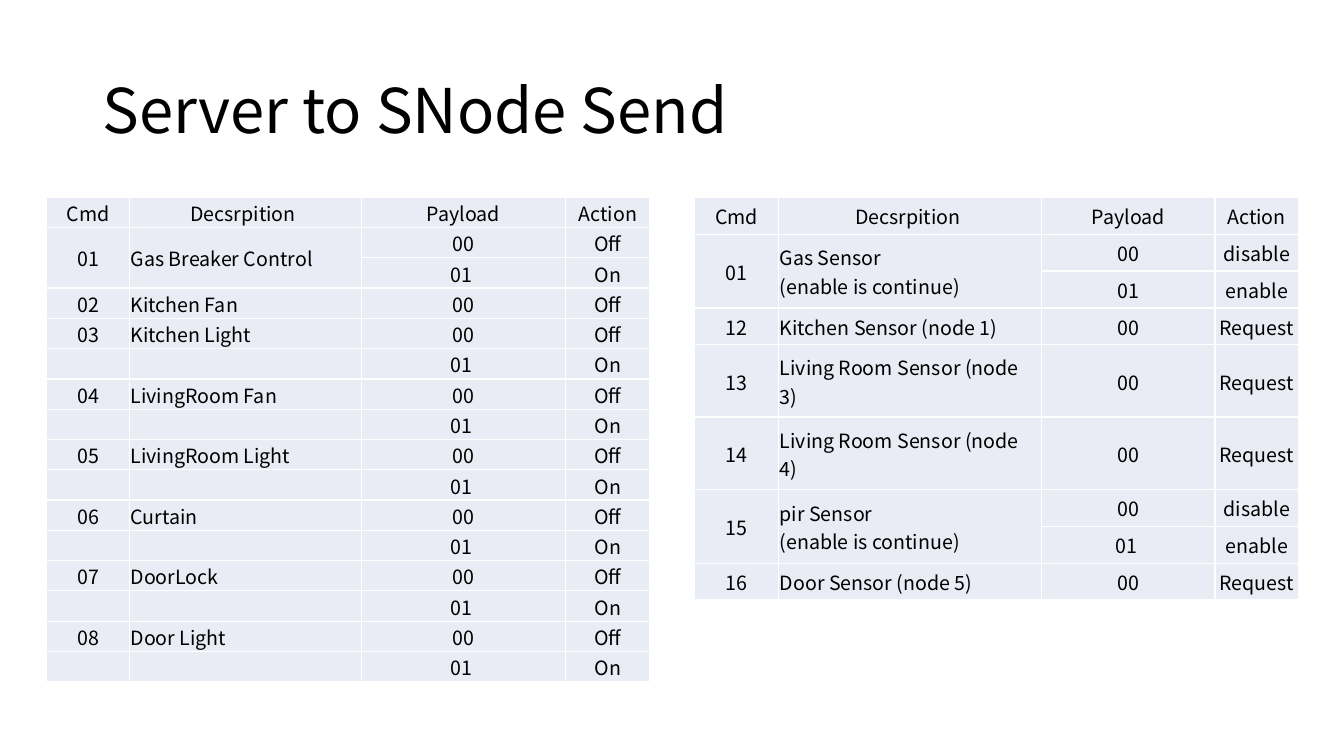
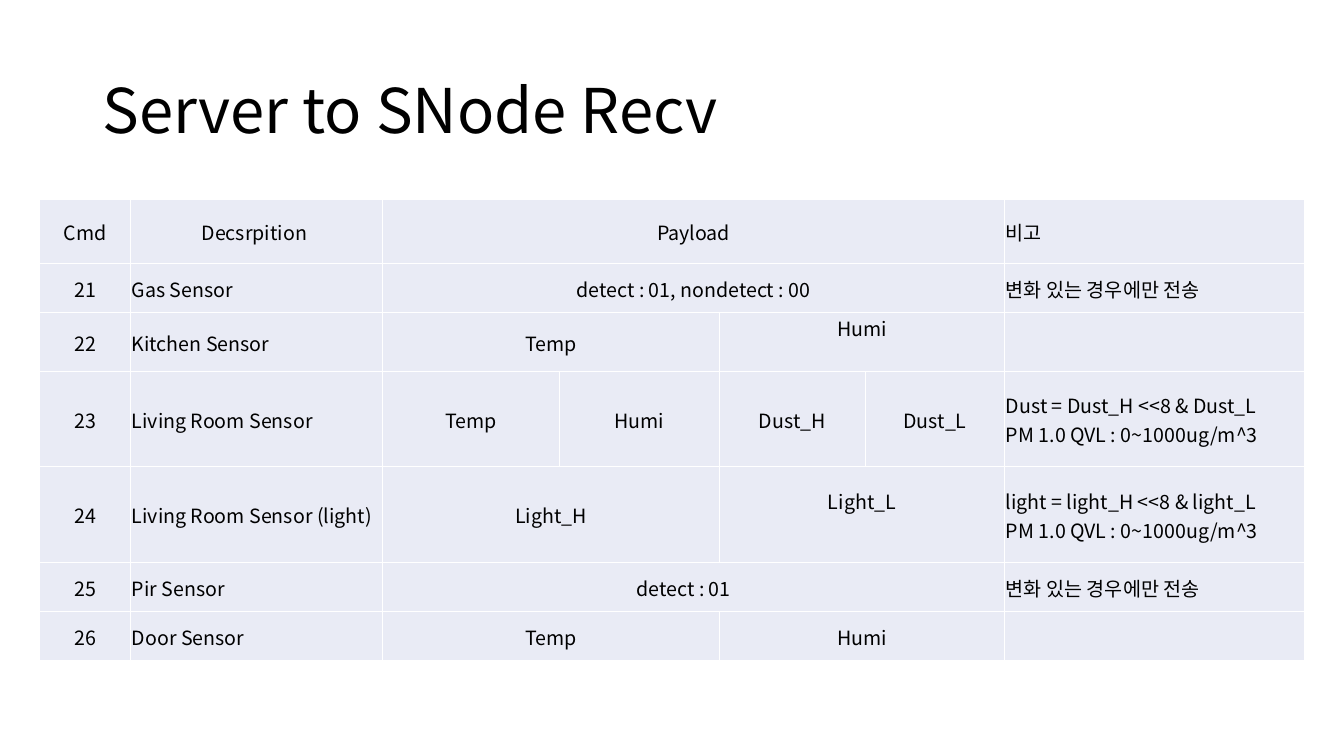
from lxml.etree import SubElement
from pptx import Presentation
from pptx.dml.color import RGBColor
from pptx.enum.text import MSO_ANCHOR as ANCHOR, PP_ALIGN as ALIGN
from pptx.oxml.ns import qn
from pptx.util import Cm, Pt

FONT = "Noto Sans CJK KR"
TEXT, CELL = "000000", "E9EBF5"
UP, LEFT = "^", "<"


def rgb(value):
    return RGBColor.from_string(value)


def set_font(p, size):
    p.font.name = FONT
    p.font.size = Pt(size)
    p.font.color.rgb = rgb(TEXT)
    SubElement(p._p.pPr.find(qn("a:defRPr")), qn("a:ea"), typeface=FONT)


def add_titled_slide(prs, title):
    s = prs.slides.add_slide(prs.slide_layouts[5])
    sp = s.shapes.title
    sp.left, sp.top, sp.width, sp.height = Cm(2.33), Cm(1.01), Cm(29.21), Cm(3.68)
    tf = sp.text_frame
    tf.vertical_anchor = ANCHOR.MIDDLE
    p = tf.paragraphs[0]
    p.text = title
    p.alignment = ALIGN.LEFT
    p.line_spacing = 0.9
    set_font(p, 44)
    return s


def fill_cell(cell, text, alignment):
    cell.fill.solid()
    cell.fill.fore_color.rgb = rgb(CELL)
    cell.vertical_anchor = ANCHOR.MIDDLE
    cell.margin_left = cell.margin_right = cell.margin_top = Cm(0.03)
    cell.margin_bottom = 0
    p = cell.text_frame.paragraphs[0]
    p.text = "" if text in (UP, LEFT) else text
    p.alignment = alignment
    set_font(p, 14)


def merge_marked(table, rows, r, c):
    bottom, right = r, c
    while bottom + 1 < len(rows) and rows[bottom + 1][c] == UP:
        bottom += 1
    while right + 1 < len(rows[r]) and rows[r][right + 1] == LEFT:
        right += 1
    if (bottom, right) != (r, c):
        table.cell(r, c).merge(table.cell(bottom, right))


def add_grid(s, left, top, widths, heights, rows, left_cols=(1,)):
    frame = s.shapes.add_table(len(rows), len(widths), Cm(left), Cm(top),
                               Cm(sum(widths)), Cm(sum(heights)))
    table = frame.table
    table.first_row = table.horz_banding = False
    for column, width in zip(table.columns, widths):
        column.width = Cm(width)
    for row, height in zip(table.rows, heights):
        row.height = Cm(height)
    for r, row in enumerate(rows):
        for c, text in enumerate(row):
            centred = c not in left_cols or (r, c) == (0, 1)
            fill_cell(table.cell(r, c), text, ALIGN.CENTER if centred else ALIGN.LEFT)
            if text not in (UP, LEFT):
                merge_marked(table, rows, r, c)
    return table


def build_send(prs):
    s = add_titled_slide(prs, "Server to SNode Send")
    header = ("Cmd", "Decsrpition ", "Payload", "Action")
    top = 4.97

    controls = [header,
                ("01", "Gas Breaker Control", "00", "Off"),
                (UP, UP, "01 ", "On"),
                ("02", "Kitchen Fan", "00", "Off")]
    devices = ["Kitchen Light", "LivingRoom Fan", "LivingRoom Light",
               "Curtain", "DoorLock", "Door Light"]
    for number, device in enumerate(devices, 3):
        controls += [(f"{number:02}", device, "00", "Off"), ("", "", "01 ", "On")]
    add_grid(s, 1.18, top, [2.08, 5.84, 5.16, 2.12],
             [12.22 / len(controls)] * len(controls), controls)

    sensors = [header,
               ("01", "Gas Sensor\n(enable is continue)", "00", "disable"),
               (UP, UP, "01", "enable"),
               ("12", "Kitchen Sensor (node 1)", "00", "Request"),
               ("13", "Living Room Sensor (node 3)", "00", "Request"),
               ("14", "Living Room Sensor (node 4)", "00", "Request"),
               ("15", "pir Sensor \n(enable is continue)", "00", "disable"),
               (UP, UP, "01 ", "enable"),
               ("16", "Door Sensor (node 5)", "00", "Request")]
    add_grid(s, 17.5, top, [2.12, 6.63, 4.37, 2.1],
             [0.93] * 4 + [1.82] * 2 + [0.93] * 3, sensors)


def build_recv(prs):
    s = add_titled_slide(prs, "Server to SNode Recv")
    on_change = "변화 있는 경우에만 전송"
    unit = "PM 1.0 QVL : 0~1000ug/m^3"
    rows = [
        ("Cmd", "Decsrpition ", "Payload", LEFT, LEFT, LEFT, "비고"),
        ("21", "Gas Sensor", "detect : 01, nondetect : 00", LEFT, LEFT, LEFT, on_change),
        ("22", "Kitchen Sensor ", "Temp", LEFT, "Humi", LEFT, ""),
        ("23", "Living Room Sensor", "Temp", "Humi", "Dust_H", "Dust_L",
         f"Dust = Dust_H <<8 & Dust_L\n{unit}"),
        ("24", "Living Room Sensor (light)", "Light_H", LEFT, "Light_L", LEFT,
         f"light = light_H <<8 & light_L\n{unit}"),
        ("25", "Pir Sensor", "detect : 01\u3000", LEFT, LEFT, LEFT, on_change),
        ("26", "Door Sensor ", "Temp", LEFT, "Humi", LEFT, ""),
    ]
    table = add_grid(s, 1, 5.03, [2.29, 6.35, 4.46, 4.03, 3.68, 3.51, 7.56],
                     [1.6, 1.25, 1.47, 2.41, 2.41, 1.24, 1.24], rows, (1, 6))
    for r in (2, 4):
        table.cell(r, 4).margin_bottom = Cm(0.72)


prs = Presentation()
prs.slide_width, prs.slide_height = Cm(33.87), Cm(19.05)
build_send(prs)
build_recv(prs)
prs.save("out.pptx")
